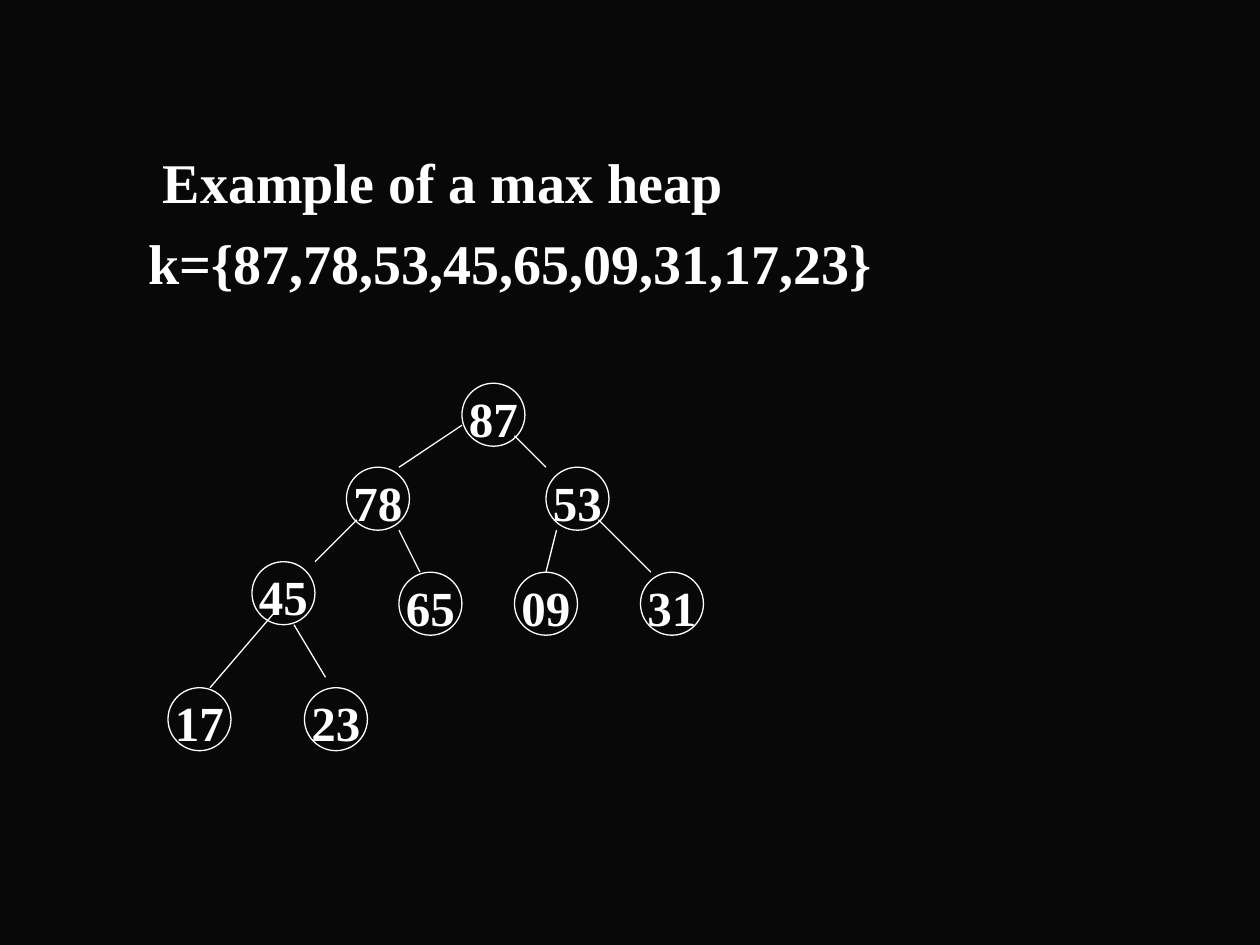
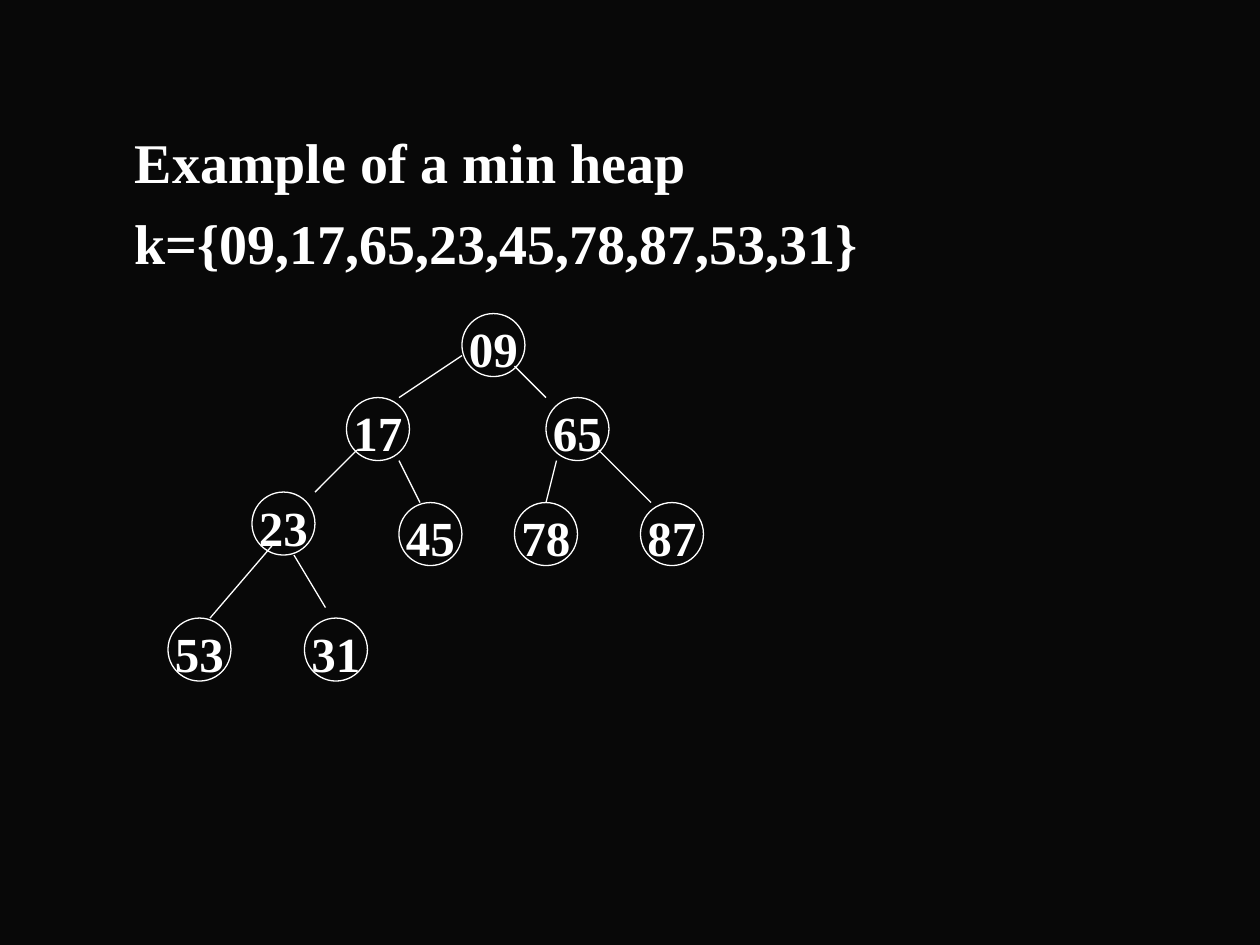
from lxml.etree import SubElement as Sub
from pptx import Presentation
from pptx.dml.color import RGBColor
from pptx.enum.shapes import MSO_CONNECTOR as Link, MSO_SHAPE as Kind
from pptx.enum.text import MSO_ANCHOR as Anchor, MSO_AUTO_SIZE as Fit, PP_ALIGN as Align
from pptx.oxml.ns import qn
from pptx.util import Pt

HEAPS = [
    dict(title="Example of a max heap", keys="87 78 53 45 65 09 31 17 23",
         lefts=(93, 85), top=84.5, root=219),
    dict(title="Example of a min heap", keys="09 17 65 23 45 78 87 53 31",
         lefts=(77, 77), top=73, root=179.2),
]
SPOTS = [(44, 0), (33, 8), (52, 8), (24, 17), (38, 18), (49, 18), (61, 18),
         (16, 29), (29, 29)]
EDGES = [(44, 4, 38, 8), (49, 5, 52, 8), (34, 13, 30, 17), (38, 14, 40, 18),
         (53, 14, 52, 18), (57, 13, 62, 18), (26, 22, 20, 29), (28, 23, 31, 28)]
UNIT, NODE, STEP = 6, 36, 46.3
INK, BACK, FONT = "FFFFFF", "080808", "Times New Roman"


def paint(fill, color):
    fill.solid()
    fill.fore_color.rgb = RGBColor.from_string(color)


def write(shape, text, size, align=Align.LEFT, anchor=Anchor.TOP, drop=0, wrap=True):
    frame = shape.text_frame
    frame.auto_size, frame.word_wrap = Fit.NONE, wrap
    frame.vertical_anchor = anchor
    frame.margin_left = frame.margin_right = frame.margin_bottom = 0
    frame.margin_top = Pt(drop)
    par = frame.paragraphs[0]
    run = par.add_run()
    run.text = text
    props = par._p.get_or_add_pPr()
    props.set("marL", "0")
    props.set("indent", "0")
    Sub(props, qn("a:buNone"))
    par.alignment, par.space_before = align, Pt(0)
    font = run.font
    font.name, font.size, font.bold = FONT, Pt(size), True
    paint(font.fill, INK)


def stroke(shape):
    paint(shape.line.fill, INK)
    shape.line.width = Pt(0.75)


def tree(slide, keys, root):
    shapes = slide.shapes.add_group_shape().shapes
    for key, (col, row) in zip(keys, SPOTS):
        node = shapes.add_shape(Kind.OVAL, Pt(col * UNIT), Pt(root + row * UNIT),
                                Pt(NODE), Pt(NODE))
        node.shadow.inherit = False
        node.fill.background()
        stroke(node)
        write(node, key, 28, Align.CENTER, Anchor.MIDDLE, drop=3.4, wrap=False)
    for x1, y1, x2, y2 in EDGES:
        edge = shapes.add_connector(Link.STRAIGHT, Pt(x1 * UNIT), Pt(root + y1 * UNIT),
                                    Pt(x2 * UNIT), Pt(root + y2 * UNIT))
        stroke(edge)
        Sub(edge._element.spPr, qn("a:effectLst"))


def main():
    """Build one slide for each heap."""
    deck = Presentation()
    deck.slide_width, deck.slide_height = Pt(720), Pt(540)
    paint(deck.slide_master.background.fill, BACK)
    for heap in HEAPS:
        slide = deck.slides.add_slide(deck.slide_layouts[1])
        keys = heap["keys"].split()
        lines = heap["title"], "k={" + ",".join(keys) + "}"
        for row, (box, text, left) in enumerate(
                zip(slide.placeholders, lines, heap["lefts"])):
            box.left, box.top = Pt(left), Pt(heap["top"] + row * STEP)
            box.width, box.height = Pt(666 - left), Pt(40)
            write(box, text, 32)
        tree(slide, keys, heap["root"])
    deck.save("out.pptx")


if __name__ == "__main__":
    main()
